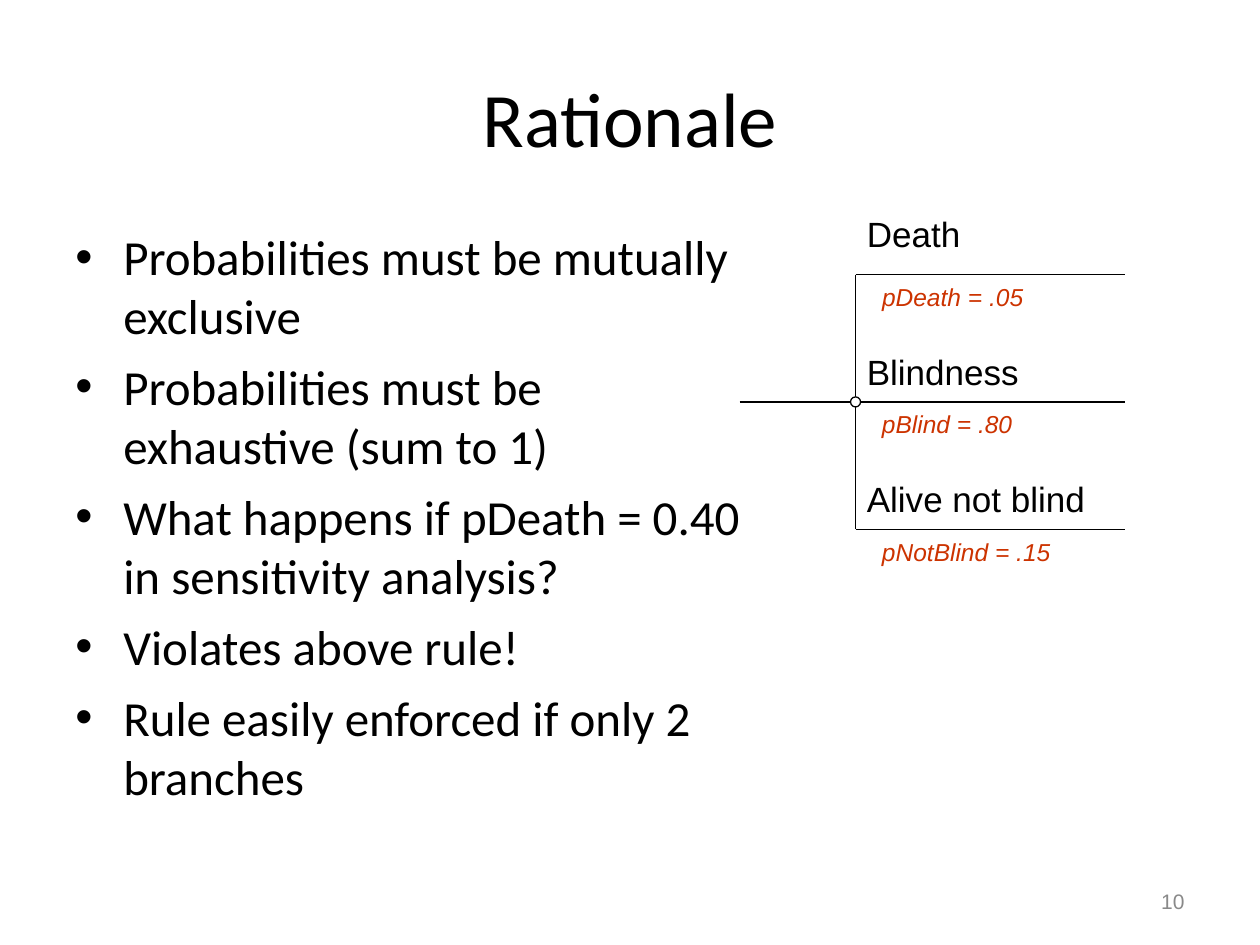
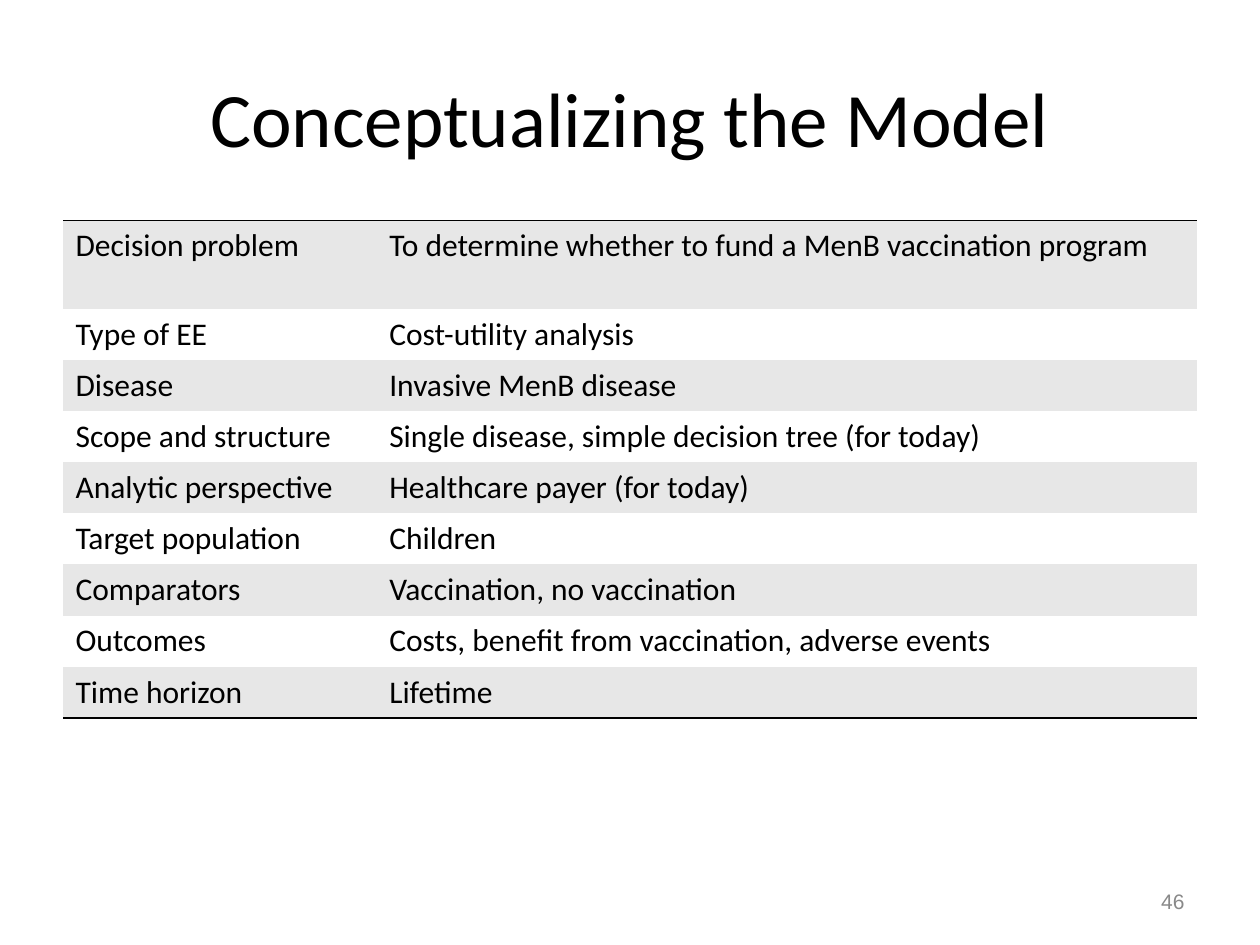
from dataclasses import dataclass

from lxml import etree
from pptx import Presentation
from pptx import util as u
from pptx.dml.color import RGBColor
from pptx.enum import shapes, text
from pptx.oxml import ns


@dataclass(frozen=True)
class Theme:
    """Colours, fonts and type sizes shared by the slides."""
    ink: str = "000000"
    paper: str = "FFFFFF"
    band: str = "E7E7E7"
    muted: str = "898989"
    accent: str = "CC3300"
    heading_font: str = "Calibri"
    label_font: str = "Arial"
    title: int = 44
    body: int = 28
    label: int = 20
    cell: int = 18
    probability: int = 14
    footer: int = 12
    line: float = 0.75
    rule: float = 0.96


THEME = Theme()
NO_TABLE_STYLE = "{2D5ABB26-0587-4C30-8999-92F81FD0307C}"

RULES = [
    "Probabilities must be mutually exclusive",
    "Probabilities must be exhaustive (sum to 1)",
    "What happens if pDeath = 0.40 in sensitivity analysis?",
    "Violates above rule!",
    "Rule easily enforced if only 2 branches",
]
BRANCHES = [
    ("Death", 0.76, 0.49, "pDeath = .05", 1.15),
    ("Blindness", 1.23, 0.41, "pBlind = .80", 1.07),
    ("Alive not blind", 1.76, 0.41, "pNotBlind = .15", 1.37),
]
MODEL_ROWS = [
    ("Decision problem", "To determine whether to fund a MenB vaccination program"),
    ("Type of EE", "Cost-utility analysis"),
    ("Disease", "Invasive MenB disease"),
    ("Scope and structure", "Single disease, simple decision tree (for today)"),
    ("Analytic perspective", "Healthcare payer (for today)"),
    ("Target population", "Children"),
    ("Comparators", "Vaccination, no vaccination"),
    ("Outcomes", "Costs, benefit from vaccination, adverse events"),
    ("Time horizon", "Lifetime"),
]


def rgb(colour):
    """Turn a hex string into a colour."""
    return RGBColor.from_string(colour)


def add_bullet(paragraph, indent=0.38):
    """Give a paragraph a hanging bullet."""
    properties = paragraph._p.get_or_add_pPr()
    properties.set("marL", str(u.Inches(indent)))
    properties.set("indent", str(-u.Inches(indent)))
    etree.SubElement(properties, ns.qn("a:buFont"), typeface="Arial")
    etree.SubElement(properties, ns.qn("a:buChar"), char="•")


def write_text(frame, content, *, size, font=THEME.heading_font, colour=THEME.ink,
               align=text.PP_ALIGN.LEFT, italic=False, bullets=False, gap=0):
    """Write one string or a list of paragraphs into a text frame."""
    lines = [content] if isinstance(content, str) else content
    for index, line in enumerate(lines):
        paragraph = frame.add_paragraph() if index else frame.paragraphs[0]
        paragraph.alignment = align
        if index and gap:
            paragraph.space_before = u.Pt(gap)
        if bullets:
            add_bullet(paragraph)
        run = paragraph.add_run()
        run.text = line
        run.font.size = u.Pt(size)
        run.font.name = font
        run.font.italic = italic
        run.font.color.rgb = rgb(colour)


def add_text(container, content, left, top, width, height, *,
             anchor=text.MSO_ANCHOR.TOP, margins=(0.1, 0.05), **style):
    """Add a text box, write formatted text into it and return its frame."""
    box = container.add_textbox(*map(u.Inches, (left, top, width, height)))
    frame = box.text_frame
    frame.word_wrap = True
    frame.vertical_anchor = anchor
    frame.margin_left = frame.margin_right = u.Inches(margins[0])
    frame.margin_top = frame.margin_bottom = u.Inches(margins[1])
    write_text(frame, content, **style)
    return frame


def add_branch_label(container, content, left, top, width, height, **style):
    """Add a one-line label whose box fits its text."""
    frame = add_text(container, content, left, top, width, height,
                     margins=(0, 0), font=THEME.label_font, **style)
    frame.word_wrap = False
    frame.auto_size = text.MSO_AUTO_SIZE.SHAPE_TO_FIT_TEXT


def add_line(container, start, end):
    """Add a thin straight line between two points."""
    connector = container.add_connector(
        shapes.MSO_CONNECTOR.STRAIGHT, *map(u.Inches, (*start, *end)))
    connector.line.color.rgb = rgb(THEME.ink)
    connector.line.width = u.Pt(THEME.line)
    etree.SubElement(connector._element.spPr, ns.qn("a:effectLst"))


def add_chance_node(container, x, y, size=0.08):
    """Add a small open circle centred on a point."""
    node = container.add_shape(
        shapes.MSO_SHAPE.OVAL,
        *map(u.Inches, (x - size / 2, y - size / 2, size, size)))
    node.shadow.inherit = False
    node.fill.solid()
    node.fill.fore_color.rgb = rgb(THEME.paper)
    node.line.color.rgb = rgb(THEME.ink)
    node.line.width = u.Pt(THEME.line)


def add_decision_tree(slide):
    """Draw the chance node with its labelled branches."""
    tree = slide.shapes.add_group_shape().shapes
    root, fork, tip = 5.87, 6.79, 8.93
    first, spacing = 2.18, 1.01
    levels = [first + spacing * index for index in range(len(BRANCHES))]
    middle = levels[1]
    add_line(tree, (root, middle), (fork, middle))
    add_line(tree, (fork, levels[0]), (fork, levels[-1]))
    for level in levels:
        add_line(tree, (fork, level), (tip, level))
    add_chance_node(tree, fork, middle)
    for level, branch in zip(levels, BRANCHES):
        outcome, outcome_width, rise, probability, probability_width = branch
        add_branch_label(tree, outcome, 6.88, level - rise, outcome_width, 0.33,
                         size=THEME.label)
        add_branch_label(tree, probability, 7, level + 0.06, probability_width,
                         0.23, size=THEME.probability, colour=THEME.accent,
                         italic=True)


def add_cell_rule(cell, side):
    """Draw a border on one side of a table cell."""
    border = etree.Element(ns.qn(f"a:{side}"), w=str(u.Pt(THEME.rule)))
    fill = etree.SubElement(border, ns.qn("a:solidFill"))
    etree.SubElement(fill, ns.qn("a:srgbClr"), val=THEME.ink)
    cell._tc.get_or_add_tcPr().insert(0, border)


def add_banded_table(slide, rows, left, top, widths, first_height, height):
    """Add a banded table ruled at its top and bottom."""
    frame = slide.shapes.add_table(
        len(rows), len(widths),
        *map(u.Inches, (left, top, sum(widths), height)))
    table = frame.table
    table.first_row = table.horz_banding = False
    table._tbl.tblPr.find(ns.qn("a:tableStyleId")).text = NO_TABLE_STYLE
    for column, width in zip(table.columns, widths):
        column.width = u.Inches(width)
    row_height = (height - first_height) / (len(rows) - 1)
    for index, values in enumerate(rows):
        table.rows[index].height = u.Inches(row_height if index else first_height)
        for column, value in enumerate(values):
            cell = table.cell(index, column)
            cell.fill.solid()
            cell.fill.fore_color.rgb = rgb(THEME.paper if index % 2 else THEME.band)
            write_text(cell.text_frame, value, size=THEME.cell)
            if index == 0:
                add_cell_rule(cell, "lnT")
            if index == len(rows) - 1:
                add_cell_rule(cell, "lnB")


def add_slide(presentation, title, number):
    """Add a blank slide with its title and slide number."""
    slide = presentation.slides.add_slide(presentation.slide_layouts[6])
    slide.background.fill.solid()
    slide.background.fill.fore_color.rgb = rgb(THEME.paper)
    add_text(slide.shapes, title, 0.5, 0.3, 9, 1.25, size=THEME.title,
             anchor=text.MSO_ANCHOR.MIDDLE, align=text.PP_ALIGN.CENTER)
    add_text(slide.shapes, str(number), 7.17, 6.95, 2.33, 0.4,
             size=THEME.footer, font=THEME.label_font, colour=THEME.muted,
             anchor=text.MSO_ANCHOR.MIDDLE, align=text.PP_ALIGN.RIGHT)
    return slide


def main():
    """Build and save the two slides."""
    presentation = Presentation()
    presentation.slide_width = u.Inches(10)
    presentation.slide_height = u.Inches(7.5)

    rationale = add_slide(presentation, "Rationale", 10)
    add_text(rationale.shapes, RULES, 0.5, 1.75, 5.52, 4.95,
             size=THEME.body, bullets=True, gap=7)
    add_decision_tree(rationale)

    model = add_slide(presentation, "Conceptualizing the Model", 46)
    add_banded_table(model, MODEL_ROWS, 0.5, 1.75, (2.49, 6.51), 0.7, 3.95)

    presentation.save("out.pptx")


if __name__ == "__main__":
    main()
